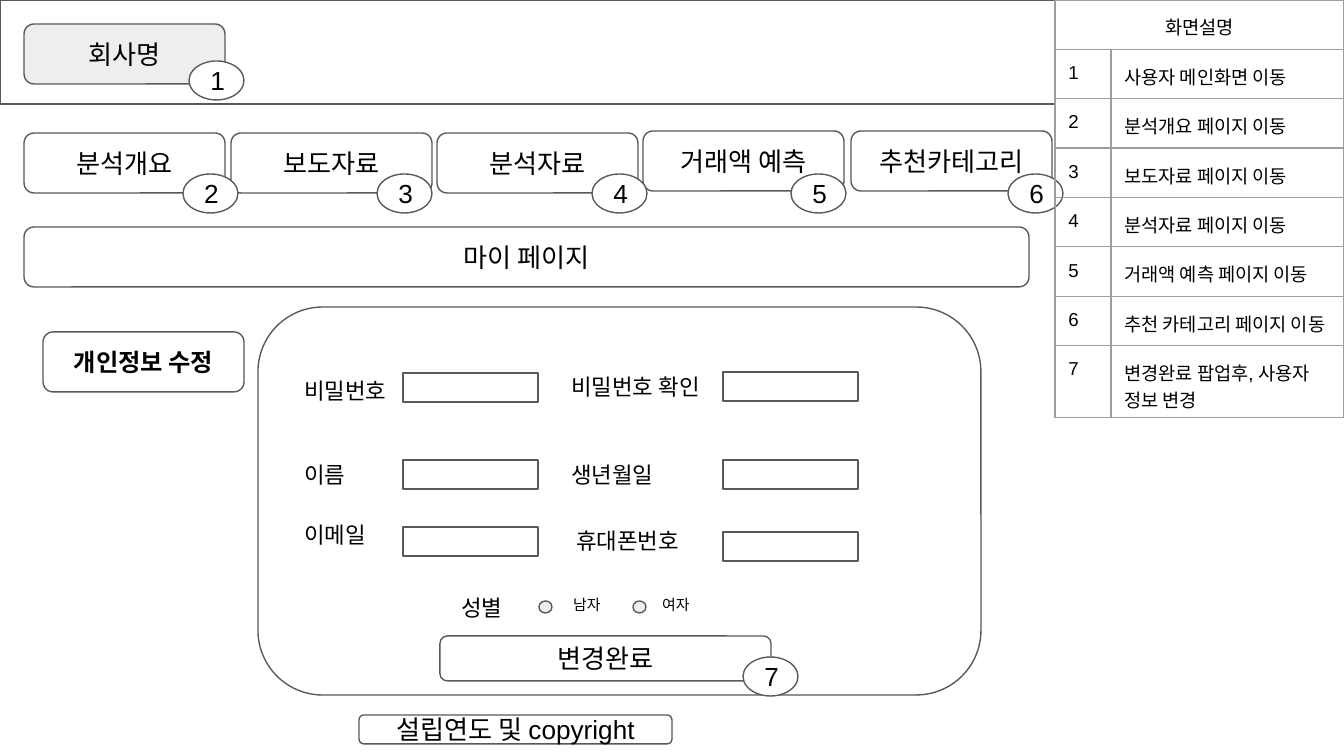
from typing import NamedTuple

from lxml import etree
from pptx import Presentation
from pptx.dml.color import RGBColor
from pptx.enum.shapes import MSO_SHAPE
from pptx.enum.text import MSO_ANCHOR, MSO_AUTO_SIZE, PP_ALIGN
from pptx.oxml.ns import qn
from pptx.util import Inches, Pt

RECT, ROUND = MSO_SHAPE.RECTANGLE, MSO_SHAPE.ROUNDED_RECTANGLE
OVAL, BADGE = MSO_SHAPE.OVAL, MSO_SHAPE.FLOWCHART_CONNECTOR
MIDDLE, TOP = MSO_ANCHOR.MIDDLE, MSO_ANCHOR.TOP
LEFT, CENTER = PP_ALIGN.LEFT, PP_ALIGN.CENTER
FIT, FIXED = MSO_AUTO_SIZE.SHAPE_TO_FIT_TEXT, MSO_AUTO_SIZE.NONE

BLACK = RGBColor(0x00, 0x00, 0x00)
WHITE = RGBColor(0xFF, 0xFF, 0xFF)
PALE = RGBColor(0xEE, 0xEE, 0xEE)
GRAY = RGBColor(0x59, 0x59, 0x59)
GRID = RGBColor(0x9E, 0x9E, 0x9E)
FONT = "Arial"
PAD = Inches(0.1)
SCALE = 914400 / 134.4


class Box(NamedTuple):
    x: int
    y: int
    w: int
    h: int
    text: str = ""
    kind: MSO_SHAPE = ROUND
    fill: RGBColor | None = None
    size: int = 14
    bold: bool = False


class Label(NamedTuple):
    x: int
    y: int
    text: str
    w: int = 173
    h: int = 54
    size: int = 12


def px(num: float) -> int:
    return round(num * SCALE)


def style(frame, text: str, size: int, align=CENTER, bold=False) -> None:
    frame.text = text
    para = frame.paragraphs[0]
    para.alignment = align
    font = para.font
    font.name, font.size, font.bold = FONT, Pt(size), bold
    font.color.rgb = BLACK


def inset(item) -> None:
    item.margin_left = item.margin_right = PAD
    item.margin_top = item.margin_bottom = PAD


def area(item) -> tuple[int, ...]:
    return tuple(px(n) for n in (item.x, item.y, item.w, item.h))


def draw(box: Box) -> None:
    shape = slide.shapes.add_shape(box.kind, *area(box))
    shape.shadow.inherit = False
    if box.fill is None:
        shape.fill.background()
    else:
        shape.fill.solid()
        shape.fill.fore_color.rgb = box.fill
    shape.line.color.rgb = GRAY
    shape.line.width = Pt(0.75)
    if box.text:
        frame = shape.text_frame
        inset(frame)
        frame.word_wrap = True
        frame.vertical_anchor = MIDDLE
        style(frame, box.text, box.size, bold=box.bold)


def write(label: Label) -> None:
    frame = slide.shapes.add_textbox(*area(label)).text_frame
    inset(frame)
    frame.word_wrap = True
    frame.auto_size = FIT
    style(frame, label.text, label.size, LEFT)


def border(cell) -> None:
    props = cell._tc.get_or_add_tcPr()
    for spot, side in enumerate(("a:lnL", "a:lnR", "a:lnT", "a:lnB")):
        line = etree.Element(qn(side), w=str(Pt(0.75)))
        fill = etree.SubElement(line, qn("a:solidFill"))
        etree.SubElement(fill, qn("a:srgbClr"), val=str(GRID))
        props.insert(spot, line)


def fill_cell(cell, text: str, align=LEFT) -> None:
    inset(cell)
    cell.vertical_anchor = TOP
    cell.fill.background()
    style(cell.text_frame, text, 10, align)


deck = Presentation()
deck.slide_width, deck.slide_height = px(1344), px(756)
slide = deck.slides.add_slide(deck.slide_layouts[5])

# Page title
title = slide.shapes.title
title.left, title.top, title.width, title.height = (
    px(n) for n in (24, 227, 1005, 60))
inset(title.text_frame)
title.text_frame.vertical_anchor = MIDDLE
title.text_frame.auto_size = FIXED
style(title.text_frame, "마이 페이지", 14)

# Header, title frame, form panel and footer
frames = [
    Box(0, 0, 1055, 104, kind=RECT),
    Box(24, 24, 201, 60, "회사명", fill=PALE),
    Box(24, 227, 1005, 60),
    Box(43, 332, 201, 60, "개인정보 수정", size=13, bold=True),
    Box(258, 307, 723, 388),
    Box(440, 636, 331, 45, "변경완료"),
    Box(359, 715, 313, 29, "설립연도 및 copyright"),
]
# Menu buttons
menu = [
    Box(x, y, 201, 60, text, fill=WHITE)
    for x, y, text in ((24, 133, "분석개요"), (231, 133, "보도자료"),
                       (437, 133, "분석자료"), (643, 131, "거래액 예측"),
                       (851, 131, "추천카테고리"))
]
# Input fields and gender buttons
fields = [
    Box(x, y, 135, 29, kind=RECT, fill=WHITE)
    for x, tops in ((403, (373, 460, 527)), (723, (372, 460, 532)))
    for y in tops
]
radios = [Box(x, 601, 13, 12, kind=OVAL, fill=PALE) for x in (539, 633)]
# Numbered badges
spots = ((189, 61), (183, 174), (377, 174), (592, 174),
         (791, 174), (1008, 174), (743, 657))
badges = [
    Box(x, y, 55, 39, str(num), BADGE, WHITE)
    for num, (x, y) in enumerate(spots, 1)
]
for box in frames + menu + fields + radios + badges:
    draw(box)

# Form labels
for label in (
    Label(291, 364, "비밀번호"),
    Label(291, 448, "이름"),
    Label(291, 508, "이메일"),
    Label(558, 360, "비밀번호 확인"),
    Label(558, 448, "생년월일"),
    Label(563, 514, "휴대폰번호"),
    Label(448, 581, "성별"),
    Label(560, 587, "남자", 65, 46, 8),
    Label(649, 587, "여자", 65, 46, 8),
):
    write(label)

# Screen notes
notes = ("사용자 메인화면 이동", "분석개요 페이지 이동", "보도자료 페이지 이동",
         "분석자료 페이지 이동", "거래액 예측 페이지 이동",
         "추천 카테고리 페이지 이동", "변경완료 팝업후, 사용자 정보 변경")
count = len(notes) + 1
table = slide.shapes.add_table(
    count, 2, px(1055), 0, px(289), px(42 * count)).table
table.first_row = table.horz_banding = False
for col, width in zip(table.columns, (56, 233)):
    col.width = px(width)
table.cell(0, 0).merge(table.cell(0, 1))
fill_cell(table.cell(0, 0), "화면설명", CENTER)
table.cell(0, 1).fill.background()
for num, note in enumerate(notes, 1):
    fill_cell(table.cell(num, 0), str(num))
    fill_cell(table.cell(num, 1), note)
for cell in table.iter_cells():
    border(cell)

deck.save("out.pptx")
